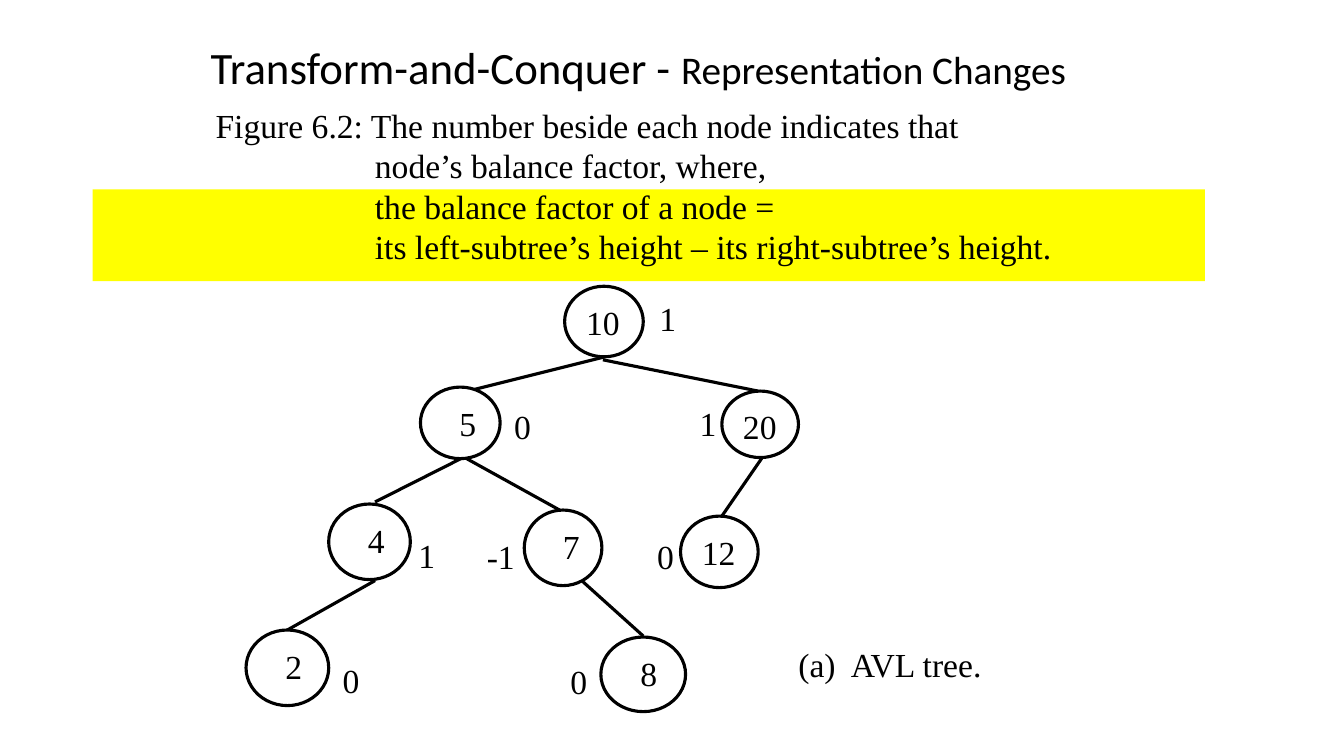
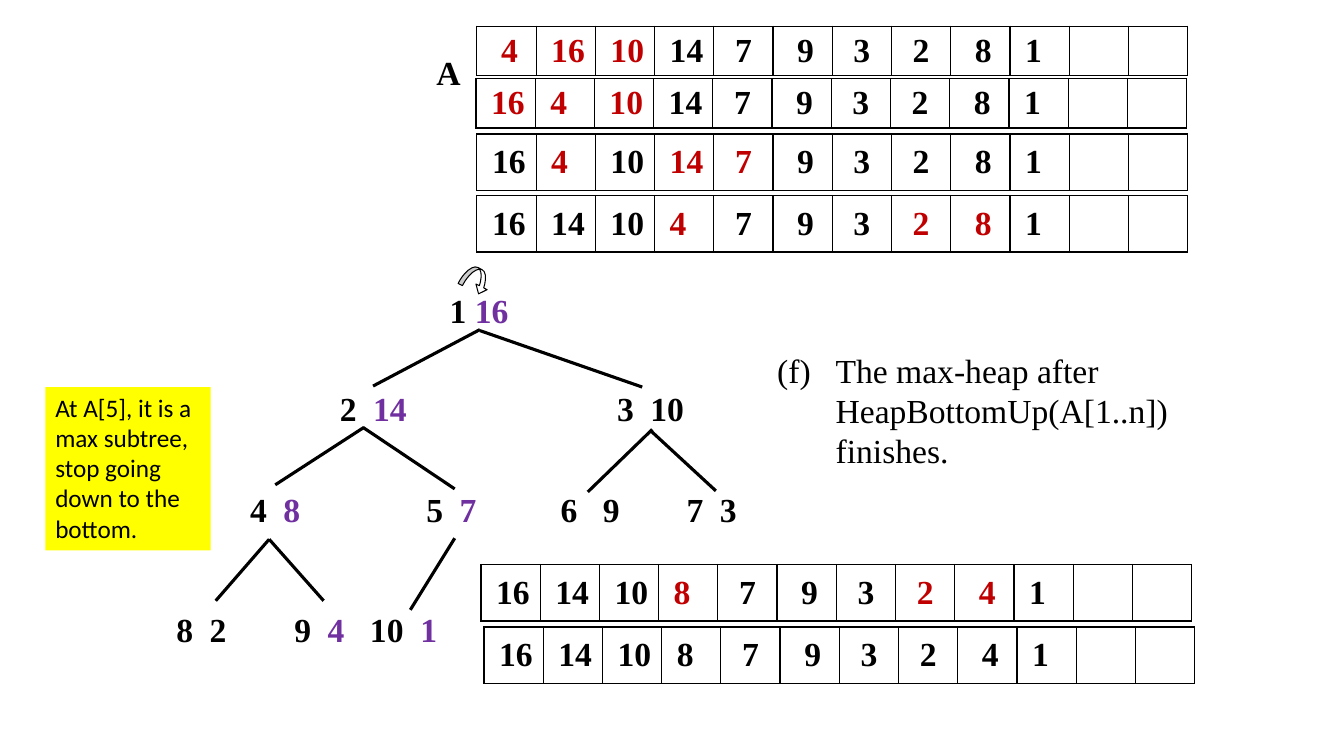
from lxml import etree
from pptx import Presentation
from pptx import util as u
from pptx.dml.color import RGBColor
from pptx.enum import shapes, text
from pptx.oxml import ns

BLACK = RGBColor(0x00, 0x00, 0x00)
WHITE = RGBColor(0xFF, 0xFF, 0xFF)
YELLOW = RGBColor(0xFF, 0xFF, 0x00)
RED = RGBColor(0xC0, 0x00, 0x00)
PURPLE = RGBColor(0x70, 0x30, 0xA0)

SERIF = {"name": "Times New Roman", "size": u.Pt(24), "bold": False}
SERIF_BOLD = {**SERIF, "bold": True}
TITLE_LARGE = {"name": "Calibri", "size": u.Pt(32), "bold": False}
TITLE_SMALL = {**TITLE_LARGE, "size": u.Pt(28)}
NOTE = {**TITLE_LARGE, "size": u.Pt(18)}

TITLE_BOX = (1.99, 0.34, 8.77, 0.64)
LABEL_HEIGHT = 0.5
INSET = 0.1
DIGIT = 0.17  # width of one digit at 24 points


# Shared helpers

def set_format(target, values):
    for name, value in values.items():
        setattr(target, name, value)


def box_lengths(box):
    return [u.Inches(length) for length in box]


def style_run(run, font, colour=BLACK):
    set_format(run.font, font)
    run.font.color.rgb = colour


def write_runs(paragraph, runs):
    """Fill a paragraph with (wording, font, colour) runs."""
    for wording, font, colour in runs:
        run = paragraph.add_run()
        run.text = wording
        style_run(run, font, colour)


def add_text(slide, box, wording, font=SERIF, hanging=0):
    """Text box; lines after the first start at the hanging indent."""
    frame = slide.shapes.add_textbox(*box_lengths(box)).text_frame
    frame.word_wrap = True
    paragraph = frame.paragraphs[0]
    paragraph.text = wording
    if hanging:
        properties = paragraph._p.get_or_add_pPr()
        properties.set("marL", str(u.Inches(hanging)))
        properties.set("indent", str(-u.Inches(hanging)))
    for run in paragraph.runs:
        style_run(run, font)


def add_shape(slide, kind, box, fill, line_width=0):
    shape = slide.shapes.add_shape(kind, *box_lengths(box))
    shape.shadow.inherit = False
    shape.fill.solid()
    shape.fill.fore_color.rgb = fill
    if line_width:
        shape.line.color.rgb = BLACK
        shape.line.width = u.Pt(line_width)
    else:
        shape.line.fill.background()
    return shape


def add_edges(slide, edges):
    for ends in edges:
        edge = slide.shapes.add_connector(
            shapes.MSO_CONNECTOR.STRAIGHT, *box_lengths(ends))
        edge.line.color.rgb = BLACK
        edge.line.width = u.Pt(2.25)
        etree.SubElement(edge._element.spPr, ns.qn("a:effectLst"))


def add_title(slide, runs):
    title = slide.shapes.title
    set_format(title, dict(zip(("left", "top", "width", "height"),
                               box_lengths(TITLE_BOX))))
    set_format(title.text_frame, {
        "word_wrap": False, "auto_size": text.MSO_AUTO_SIZE.NONE,
        "vertical_anchor": text.MSO_ANCHOR.TOP})
    paragraph = title.text_frame.paragraphs[0]
    paragraph.alignment = text.PP_ALIGN.LEFT
    write_runs(paragraph, runs)


# Balanced tree: circles with balance factors beside them

AVL_EDGES = [
    (6, 3.54, 4.68, 3.87), (5.98, 3.57, 7.52, 3.88),
    (4.71, 4.48, 3.72, 4.98), (4.61, 4.54, 5.55, 5.06),
    (7.56, 4.54, 7.16, 5.12), (3.72, 5.76, 2.85, 6.25),
    (5.78, 5.77, 6.38, 6.31),
]
# key, circle box, balance factor, factor position
AVL_NODES = [
    ("10", (5.6, 2.84, 0.78, 0.7), "1", (6.44, 2.91)),
    ("5", (4.17, 3.84, 0.79, 0.71), "0", (5, 3.98)),
    ("20", (7.16, 3.88, 0.76, 0.66), "1", (6.84, 3.95)),
    ("4", (3.26, 5, 0.81, 0.75), "1", (4.05, 5.26)),
    ("7", (5.2, 5.06, 0.77, 0.75), "-1", (4.73, 5.27)),
    ("12", (6.75, 5.12, 0.77, 0.71), "0", (6.42, 5.27)),
    ("2", (2.44, 6.25, 0.82, 0.75), "0", (3.3, 6.5)),
    ("8", (5.96, 6.32, 0.84, 0.74), "0", (5.56, 6.51)),
]


def add_circle_node(slide, key, box, factor, factor_position):
    circle = add_shape(slide, shapes.MSO_SHAPE.OVAL, box, WHITE, 2.25)
    frame = circle.text_frame
    set_format(frame, {
        "vertical_anchor": text.MSO_ANCHOR.TOP, "margin_right": 0,
        "margin_left": u.Inches(INSET + DIGIT * (2 - len(key)))})
    paragraph = frame.paragraphs[0]
    paragraph.alignment = text.PP_ALIGN.LEFT
    write_runs(paragraph, [(key, SERIF, BLACK)])
    add_text(slide, (*factor_position, 0.48, LABEL_HEIGHT), factor)


def build_avl_slide(presentation):
    slide = presentation.slides.add_slide(presentation.slide_layouts[5])
    add_title(slide, [("Transform-and-Conquer - ", TITLE_LARGE, BLACK),
                      ("Representation Changes", TITLE_SMALL, BLACK)])
    add_shape(slide, shapes.MSO_SHAPE.RECTANGLE,
              (0.92, 1.88, 11.03, 0.91), YELLOW)
    add_text(slide, (2.04, 0.99, 9.26, 1.72),
             "Figure 6.2: The number beside each node indicates that\v"
             "node’s balance factor, where,\v"
             "the balance factor of a node =\v"
             "its left-subtree’s height – its right-subtree’s height.",
             hanging=1.58)
    add_edges(slide, AVL_EDGES)
    for node in AVL_NODES:
        add_circle_node(slide, *node)
    add_text(slide, (7.82, 6.34, 2.4, LABEL_HEIGHT), "(a)\tAVL tree.",
             hanging=0.52)


# Heap tree: array index and value at each node

HEAP_EDGES = [
    (4.76, 3.27, 3.7, 3.83), (4.76, 3.28, 6.37, 3.84),
    (3.61, 4.24, 2.73, 4.81), (3.6, 4.24, 4.51, 4.85),
    (6.47, 4.26, 5.83, 4.88), (6.45, 4.27, 7.1, 4.87),
    (2.67, 5.35, 2.14, 5.96), (2.67, 5.35, 3.21, 5.96),
    (4.51, 5.34, 4.07, 6.05),
]
# top of the level, then (left, index, value, value offset, value colour)
HEAP_LEVELS = [
    (2.83, [(4.46, "1", "16", 0.25, PURPLE)]),
    (3.8, [(3.37, "2", "14", 0.33, PURPLE), (6.12, "3", "10", 0.33, BLACK)]),
    (4.8, [(2.48, "4", "8", 0.33, PURPLE), (4.23, "5", "7", 0.33, PURPLE),
           (5.56, "6", "9", 0.42, BLACK), (6.81, "7", "3", 0.33, BLACK)]),
    (5.99, [(1.75, "8", "2", 0.33, BLACK), (2.92, "9", "4", 0.33, PURPLE),
            (3.67, "10", "1", 0.5, PURPLE)]),
]


def add_heap_node(slide, top, left, index, value, offset, colour):
    box = slide.shapes.add_textbox(
        *box_lengths((left, top, 0.8, LABEL_HEIGHT)))
    frame = box.text_frame
    set_format(frame, {"word_wrap": True, "margin_left": 0, "margin_right": 0})
    paragraph = frame.paragraphs[0]
    tabs = etree.SubElement(paragraph._p.get_or_add_pPr(), ns.qn("a:tabLst"))
    etree.SubElement(tabs, ns.qn("a:tab"), pos=str(u.Inches(offset)), algn="l")
    write_runs(paragraph, [(index + "\t", SERIF_BOLD, BLACK),
                           (value, SERIF_BOLD, colour)])


# Array rows: one table for each step of the heap construction

ARRAY_WIDTH = 7.05
ARRAY_CELLS = 12
CENTRED_COLUMNS = (4, 6, 7)
INDENTED_COLUMNS = (5, 8)
# left, top, height, values, columns in red
ARRAYS = [
    (4.73, 0.26, 0.49, "4 16 10 14 7 9 3 2 8 1", (0, 1, 2)),
    (4.72, 0.78, 0.49, "16 4 10 14 7 9 3 2 8 1", (0, 1, 2)),
    (4.73, 1.33, 0.56, "16 4 10 14 7 9 3 2 8 1", (1, 3, 4)),
    (4.73, 1.94, 0.56, "16 14 10 4 7 9 3 2 8 1", (3, 7, 8)),
    (4.77, 5.6, 0.56, "16 14 10 8 7 9 3 2 4 1", (3, 7, 8)),
    (4.8, 6.22, 0.56, "16 14 10 8 7 9 3 2 4 1", ()),
]


def add_borders(cell):
    properties = cell._tc.get_or_add_tcPr()
    for side in ("lnL", "lnR", "lnT", "lnB"):
        line = etree.SubElement(properties, ns.qn("a:" + side),
                                w=str(u.Pt(1)))
        fill = etree.SubElement(line, ns.qn("a:solidFill"))
        etree.SubElement(fill, ns.qn("a:srgbClr"), val=str(BLACK))


def add_array(slide, left, top, height, values, red_columns):
    table = slide.shapes.add_table(
        1, ARRAY_CELLS, *box_lengths((left, top, ARRAY_WIDTH, height))).table
    set_format(table, {"first_row": False, "horz_banding": False})
    numbers = values.split()
    for column in range(ARRAY_CELLS):
        table.columns[column].width = u.Inches(ARRAY_WIDTH / ARRAY_CELLS)
        cell = table.cell(0, column)
        add_borders(cell)
        cell.fill.solid()
        cell.fill.fore_color.rgb = WHITE
        centred = column in CENTRED_COLUMNS
        number = numbers[column] if column < len(numbers) else ""
        indented = column in INDENTED_COLUMNS or (
            column == 0 and len(number) == 1)
        margin = 0.07 if centred else 0.24 if indented else 0.15
        set_format(cell, {
            "margin_left": u.Inches(margin),
            "margin_right": u.Inches(0.07 if centred else 0),
            "margin_top": 0, "margin_bottom": 0,
            "vertical_anchor": text.MSO_ANCHOR.MIDDLE})
        if number:
            paragraph = cell.text_frame.paragraphs[0]
            if centred:
                paragraph.alignment = text.PP_ALIGN.CENTER
            colour = RED if column in red_columns else BLACK
            write_runs(paragraph, [(number, SERIF_BOLD, colour)])


def add_note(slide, box, wording):
    note = add_shape(slide, shapes.MSO_SHAPE.RECTANGLE, box, YELLOW)
    note.text_frame.vertical_anchor = text.MSO_ANCHOR.TOP
    paragraph = note.text_frame.paragraphs[0]
    paragraph.alignment = text.PP_ALIGN.LEFT
    write_runs(paragraph, [(wording, NOTE, BLACK)])


def build_heap_slide(presentation):
    slide = presentation.slides.add_slide(presentation.slide_layouts[6])
    add_edges(slide, HEAP_EDGES)
    for top, nodes in HEAP_LEVELS:
        for node in nodes:
            add_heap_node(slide, top, *node)
    # Turning arrow above the root
    arrow = add_shape(slide, shapes.MSO_SHAPE.CURVED_LEFT_ARROW,
                      (4.61, 2.63, 0.23, 0.29), WHITE, 0.75)
    arrow.rotation = 297
    for position, adjustment in enumerate((0.21, 0.54, 0.33)):
        arrow.adjustments[position] = adjustment
    add_text(slide, (4.23, 0.47, 0.45, LABEL_HEIGHT), "A", SERIF_BOLD)
    for array in ARRAYS:
        add_array(slide, *array)
    add_text(slide, (7.61, 3.42, 4.2, 1.31),
             "(f)\tThe max-heap after\vHeapBottomUp(A[1..n])\vfinishes.",
             hanging=0.58)
    add_note(slide, (0.45, 3.84, 1.64, 1.62),
             "At A[5], it is a max subtree, stop going down to the bottom.")


def main():
    presentation = Presentation()
    presentation.slide_width = u.Inches(13.33)
    presentation.slide_height = u.Inches(7.5)
    build_avl_slide(presentation)
    build_heap_slide(presentation)
    presentation.save("out.pptx")


if __name__ == "__main__":
    main()
